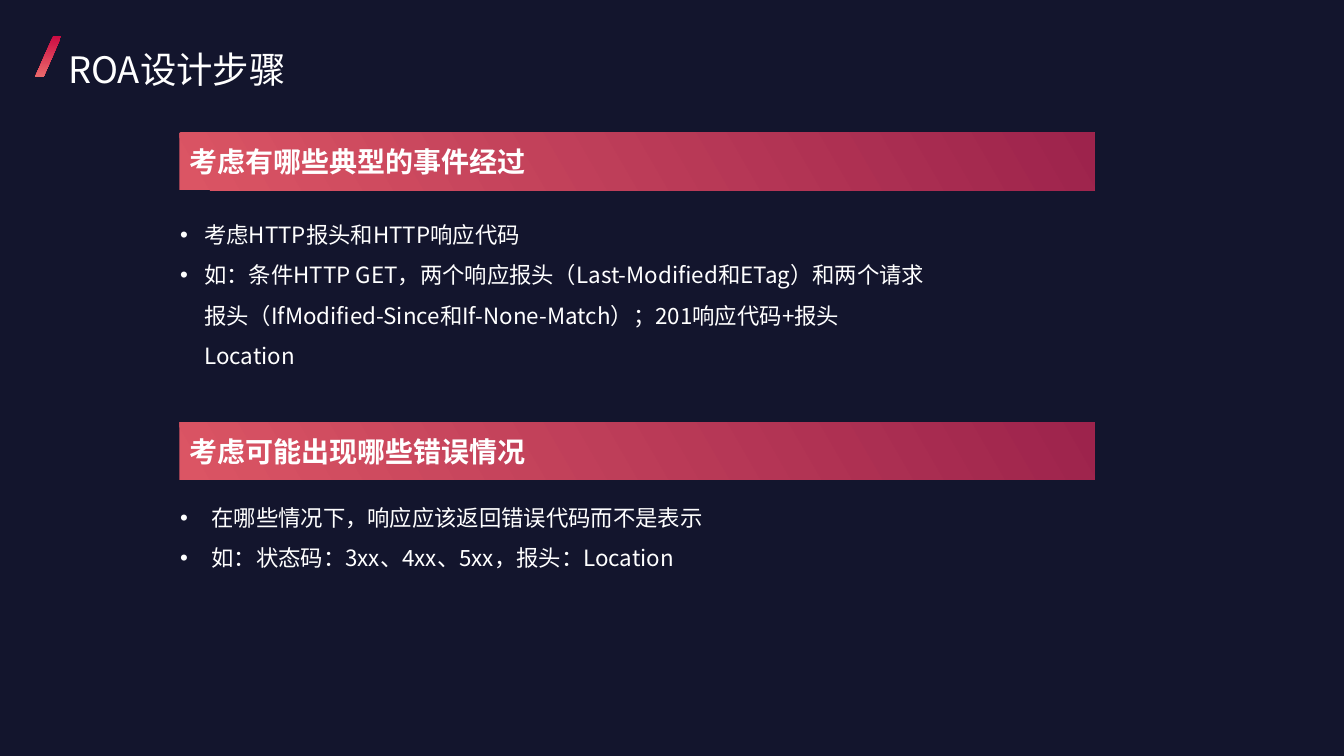
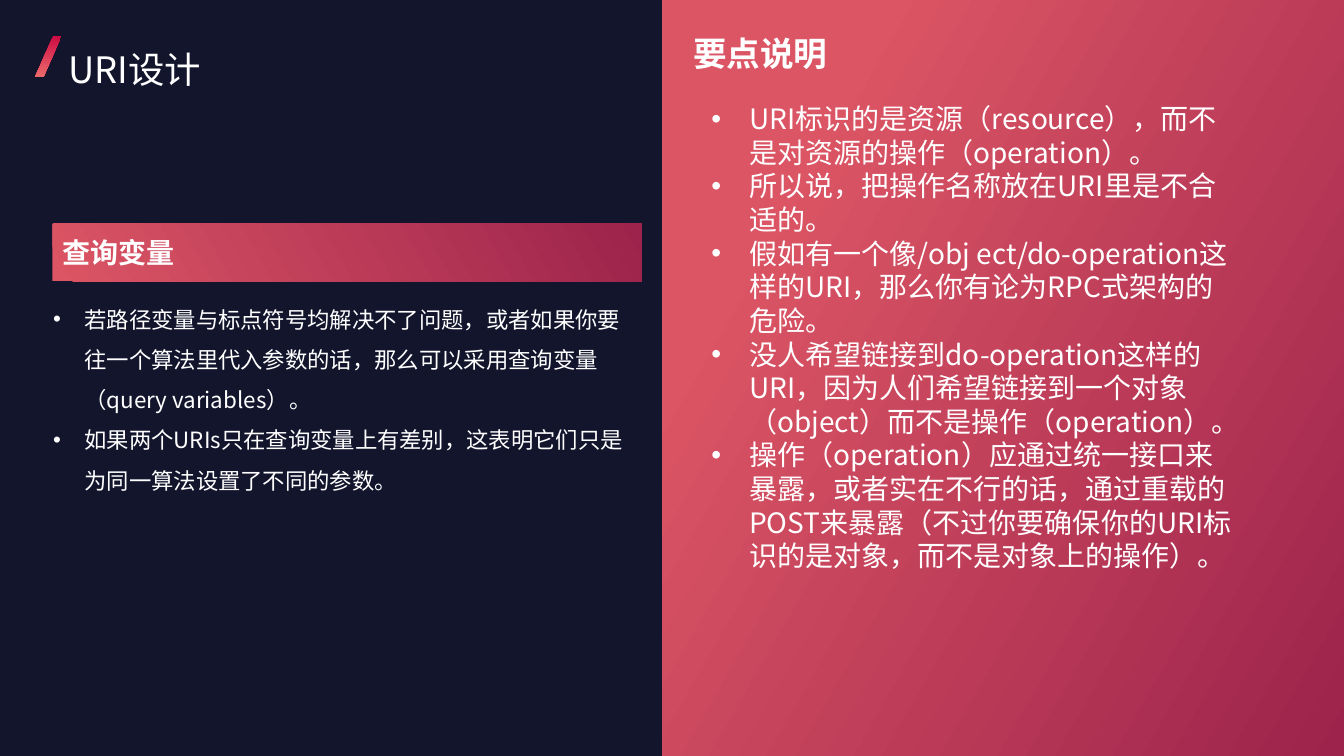
from dataclasses import dataclass

from lxml import etree
from pptx import Presentation
from pptx.dml.color import RGBColor
from pptx.enum import shapes, text
from pptx.oxml import ns
from pptx.util import Cm, Pt


@dataclass(frozen=True)
class Theme:
    night: str = "13152D"
    white: str = "FFFFFF"
    coral: str = "DB5564"
    wine: str = "9D234C"
    slash_top: str = "CC0C43"
    slash_foot: str = "EA696B"
    font: str = "Noto Sans CJK SC"
    heading_font: str = "Arial"
    title_size: int = 26
    panel_title_size: int = 24
    heading_size: int = 20
    body_size: int = 16
    band_height: float = 1.45


THEME = Theme()
SLIDE_W, SLIDE_H = 33.87, 19.05


def write(frame, lines, size=THEME.body_size, bold=False, font=THEME.font,
          spacing=1.0, indent=None, wrap=True, anchor=text.MSO_ANCHOR.TOP):
    """Fill a text frame; an indent (in cm) turns the lines into bullets."""
    frame.word_wrap = wrap
    frame.vertical_anchor = anchor
    for number, line in enumerate(lines):
        paragraph = frame.paragraphs[0] if number == 0 else frame.add_paragraph()
        paragraph.alignment = text.PP_ALIGN.LEFT
        paragraph.line_spacing = spacing
        run = paragraph.add_run()
        run.text = line
        run.font.name = font
        run.font.size = Pt(size)
        run.font.bold = bold
        run.font.color.rgb = RGBColor.from_string(THEME.white)
        east_asian = etree.SubElement(run.font._element, ns.qn("a:ea"))
        east_asian.set("typeface", THEME.font)
        if indent:
            props = paragraph._p.get_or_add_pPr()
            props.set("marL", str(Cm(indent)))
            props.set("indent", str(-Cm(indent)))
            etree.SubElement(props, ns.qn("a:buFont")).set("typeface", "Arial")
            etree.SubElement(props, ns.qn("a:buChar")).set("char", "•")


def add_text(slide, box, lines, **format_options):
    frame = slide.shapes.add_textbox(*map(Cm, box)).text_frame
    write(frame, lines, **format_options)


def add_gradient(slide, kind, box, colors, angle, start=0.0):
    """Add a borderless shape; the angle runs counter-clockwise."""
    shape = slide.shapes.add_shape(kind, *map(Cm, box))
    shape.shadow.inherit = False
    shape.line.fill.background()
    shape.fill.gradient()
    shape.fill.gradient_angle = angle
    for stop, color, position in zip(shape.fill.gradient_stops, colors, (start, 1.0)):
        stop.color.rgb = RGBColor.from_string(color)
        stop.position = position
    return shape


def add_titled_slide(prs, title):
    slide = prs.slides.add_slide(prs.slide_layouts[6])
    # Slanted mark beside the title
    slash = add_gradient(slide, shapes.MSO_SHAPE.PARALLELOGRAM, (0.89, 0.91, 0.66, 1.02),
                         (THEME.slash_top, THEME.slash_foot), 270)
    slash.adjustments[0] = 0.68
    add_text(slide, (1.47, 0.61, 25.65, 2.03), [title], size=THEME.title_size,
             spacing=1.2, anchor=text.MSO_ANCHOR.MIDDLE)
    return slide


def add_section(slide, box, heading, points, gap=0.15, text_width=None, indent=0.79):
    """Place a heading band at the top of the box and its bullets below."""
    left, top, width, height = box
    # Heading band
    band = add_gradient(slide, shapes.MSO_SHAPE.RECTANGLE,
                        (left, top, width, THEME.band_height),
                        (THEME.coral, THEME.wine), 30)
    write(band.text_frame, [heading], size=THEME.heading_size, bold=True,
          font=THEME.heading_font, wrap=False, anchor=text.MSO_ANCHOR.MIDDLE)
    # Bullets
    offset = THEME.band_height + gap
    add_text(slide, (left - 0.23, top + offset, text_width or width, height - offset),
             points, spacing=1.5, indent=indent)


def add_key_points(slide, box, heading, points):
    left, top, width, height = box
    # Panel
    add_gradient(slide, shapes.MSO_SHAPE.RECTANGLE, box,
                 (THEME.coral, THEME.wine), 330, start=0.2)
    # Heading and bullets
    add_text(slide, (left + 0.53, top + 0.71, 4.8, 1.27), [heading],
             size=THEME.panel_title_size, bold=True, wrap=False)
    add_text(slide, (left + 0.99, top + 2.44, width - 3.44, height - 3.4), points,
             size=THEME.heading_size, indent=0.95)


def add_steps_slide(prs):
    slide = add_titled_slide(prs, "ROA设计步骤")
    add_section(slide, (4.52, 3.35, 23.06, 6), "考虑有哪些典型的事件经过", [
        "考虑HTTP报头和HTTP响应代码",
        "如：条件HTTP GET，两个响应报头（Last-Modified和ETag）和两个请求报头"
        "（IfModified-Since和If-None-Match）；201响应代码+报头Location",
    ], gap=0.31, text_width=19.3, indent=0.61)
    add_section(slide, (4.52, 10.64, 23.06, 3.78), "考虑可能出现哪些错误情况", [
        "在哪些情况下，响应应该返回错误代码而不是表示",
        "如：状态码：3xx、4xx、5xx，报头：Location",
    ], text_width=19.79)


def add_uri_slide(prs):
    slide = add_titled_slide(prs, "URI设计")
    add_section(slide, (1.32, 5.64, 14.86, 6.98), "查询变量", [
        "若路径变量与标点符号均解决不了问题，或者如果你要往一个算法里代入参数的话，"
        "那么可以采用查询变量（query variables）。",
        "如果两个URIs只在查询变量上有差别，这表明它们只是为同一算法设置了不同的参数。",
    ], text_width=15.09)
    panel_left = 16.69
    add_key_points(slide, (panel_left, 0, SLIDE_W - panel_left, SLIDE_H), "要点说明", [
        "URI标识的是资源（resource），而不是对资源的操作（operation）。",
        "所以说，把操作名称放在URI里是不合适的。",
        "假如有一个像/obj ect/do-operation这样的URI，那么你有论为RPC式架构的危险。",
        "没人希望链接到do-operation这样的URI，因为人们希望链接到一个对象（object）"
        "而不是操作（operation）。",
        "操作（operation）应通过统一接口来暴露，或者实在不行的话，通过重载的POST来暴露"
        "（不过你要确保你的URI标识的是对象，而不是对象上的操作）。",
    ])


def main():
    prs = Presentation()
    prs.slide_width, prs.slide_height = Cm(SLIDE_W), Cm(SLIDE_H)
    # Shared background
    backdrop = prs.slide_master.background.fill
    backdrop.solid()
    backdrop.fore_color.rgb = RGBColor.from_string(THEME.night)
    add_steps_slide(prs)
    add_uri_slide(prs)
    prs.save("out.pptx")


if __name__ == "__main__":
    main()
